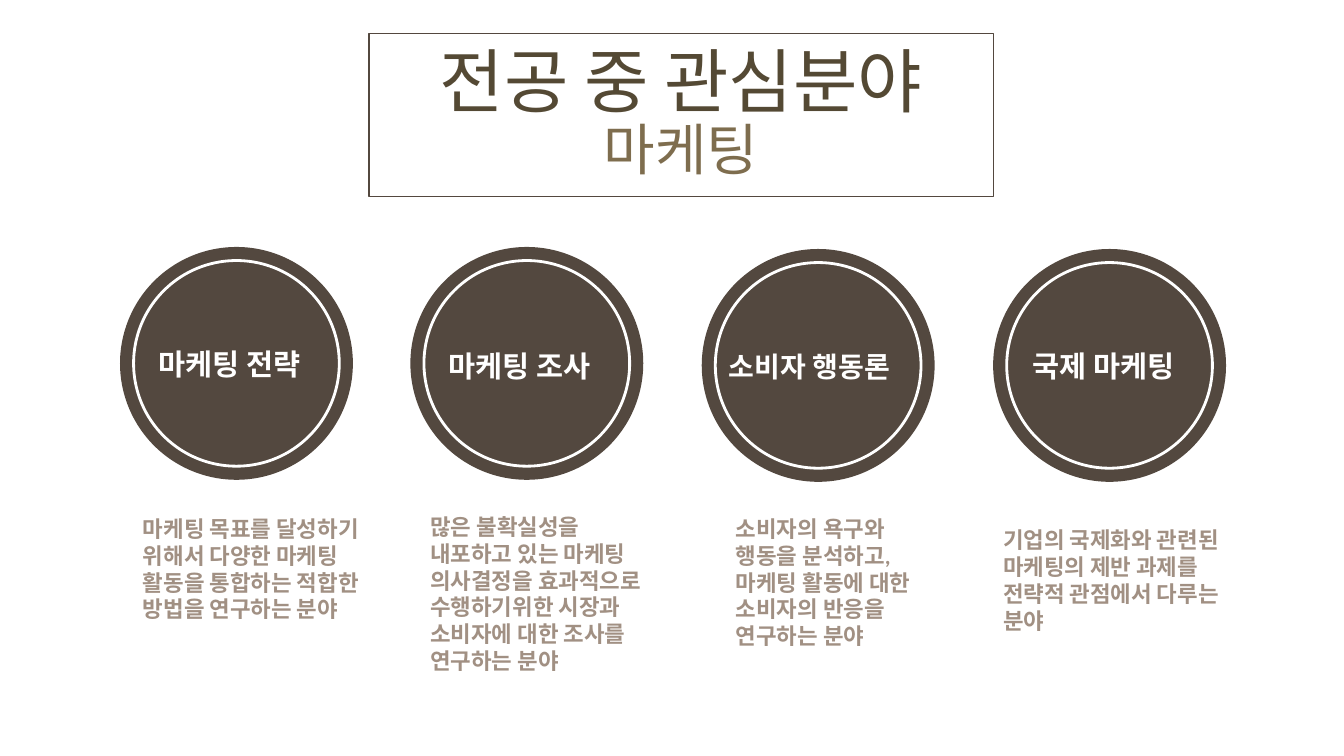
"""Build the slide on marketing as a field of interest."""
from dataclasses import dataclass

from pptx import Presentation
from pptx.dml.color import RGBColor
from pptx.enum.shapes import MSO_SHAPE as SHAPE
from pptx.enum.text import MSO_ANCHOR as ANCHOR, MSO_AUTO_SIZE as AUTO, PP_ALIGN as ALIGN
from pptx.oxml.ns import qn
from pptx.util import Inches, Pt

BROWN = RGBColor(0x53, 0x48, 0x3F)
TITLE = RGBColor(0x54, 0x49, 0x34)
SUBTITLE = RGBColor(0x7E, 0x6D, 0x4E)
BODY = RGBColor(0xA1, 0x90, 0x83)
WHITE = RGBColor(0xFF, 0xFF, 0xFF)
TITLE_FONT = "Noto Sans CJK KR"
LABEL_FONT = "Calibri"
OUTER, INNER = 2.31, 2.04


@dataclass
class Box:
    left: float
    top: float
    width: float
    height: float

    def place(self) -> tuple:
        return tuple(Inches(v) for v in (self.left, self.top, self.width, self.height))


@dataclass
class Field:
    circle_left: float
    circle_top: float
    label: str
    label_box: Box
    text: str
    text_box: Box
    label_size: int = 21
    label_align: ALIGN = ALIGN.LEFT
    text_font: str = "Lato"


FIELDS = [
    Field(1.19, 2.45, "마케팅 전략", Box(1.36, 3.38, 1.83, 0.45),
          "마케팅 목표를 달성하기 위해서 다양한 마케팅 활동을 통합하는 적합한 방법을 연구하는 분야",
          Box(1.32, 5.06, 2.4, 1.45), label_align=ALIGN.CENTER),
    Field(4.07, 2.45, "마케팅 조사", Box(4.35, 3.4, 1.74, 0.45),
          "많은 불확실성을 내포하고 있는 마케팅 의사결정을 효과적으로 수행하기위한 시장과 "
          "소비자에 대한 조사를 연구하는 분야",
          Box(4.17, 5.04, 2.4, 1.99)),
    Field(6.96, 2.47, "소비자 행동론", Box(7.13, 3.42, 2.04, 0.44),
          "소비자의 욕구와 행동을 분석하고, 마케팅 활동에 대한 소비자의 반응을 연구하는 분야",
          Box(7.2, 5.06, 2.07, 1.72), label_size=20, text_font="Calibri"),
    Field(9.85, 2.47, "국제 마케팅", Box(10.14, 3.4, 1.87, 0.45),
          "기업의 국제화와 관련된 마케팅의 제반 과제를 전략적 관점에서 다루는 분야",
          Box(9.85, 5.17, 2.4, 1.18)),
]


def add_run(p, text: str, color: RGBColor, **formats):
    r = p.add_run()
    r.text = text
    r.font.color.rgb = color
    for name, value in formats.items():
        setattr(r.font, name, value)
    return r


def add_title(slide) -> None:
    sp = slide.shapes.title
    sp.left, sp.top, sp.width, sp.height = Box(3.66, 0.33, 6.19, 1.62).place()
    sp.line.color.rgb = BROWN
    sp.line.width = Pt(0.75)
    tf = sp.text_frame
    tf.auto_size = AUTO.NONE
    tf.vertical_anchor = ANCHOR.MIDDLE
    lines = [("전공 중 관심분야", TITLE, 50), ("마케팅", SUBTITLE, 40)]
    for i, (text, color, size) in enumerate(lines):
        p = tf.add_paragraph() if i else tf.paragraphs[0]
        p.alignment = ALIGN.CENTER
        p.line_spacing = 0.9
        r = add_run(p, text, color, size=Pt(size), name=TITLE_FONT)
        r.font._element.find(qn("a:latin")).addnext(
            r.font._element.makeelement(qn("a:ea"), {"typeface": TITLE_FONT}))


def add_circle(slide, left: float, top: float, size: float):
    sp = slide.shapes.add_shape(SHAPE.OVAL, *Box(left, top, size, size).place())
    sp.shadow.inherit = False
    sp.fill.solid()
    sp.fill.fore_color.rgb = BROWN
    sp.line.fill.background()
    return sp


def add_text(slide, box: Box, text: str, color: RGBColor, align: ALIGN, **formats) -> None:
    tf = slide.shapes.add_textbox(*box.place()).text_frame
    tf.word_wrap = True
    tf.auto_size = AUTO.SHAPE_TO_FIT_TEXT
    p = tf.paragraphs[0]
    p.alignment = align
    add_run(p, text, color, bold=True, **formats)


def add_field(slide, field: Field) -> None:
    inset = (OUTER - INNER) / 2
    add_circle(slide, field.circle_left, field.circle_top, OUTER)
    ring = add_circle(slide, field.circle_left + inset, field.circle_top + inset, INNER)
    ring.line.color.rgb = WHITE
    ring.line.width = Pt(2)
    add_text(slide, field.label_box, field.label, WHITE, field.label_align,
             size=Pt(field.label_size), name=LABEL_FONT)
    add_text(slide, field.text_box, field.text, BODY, ALIGN.LEFT,
             size=Pt(16), name=field.text_font)


def main() -> None:
    prs = Presentation()
    prs.slide_width, prs.slide_height = Inches(13.33), Inches(7.5)
    slide = prs.slides.add_slide(prs.slide_layouts[5])
    add_title(slide)
    for field in FIELDS:
        add_field(slide, field)
    prs.save("out.pptx")


if __name__ == "__main__":
    main()
